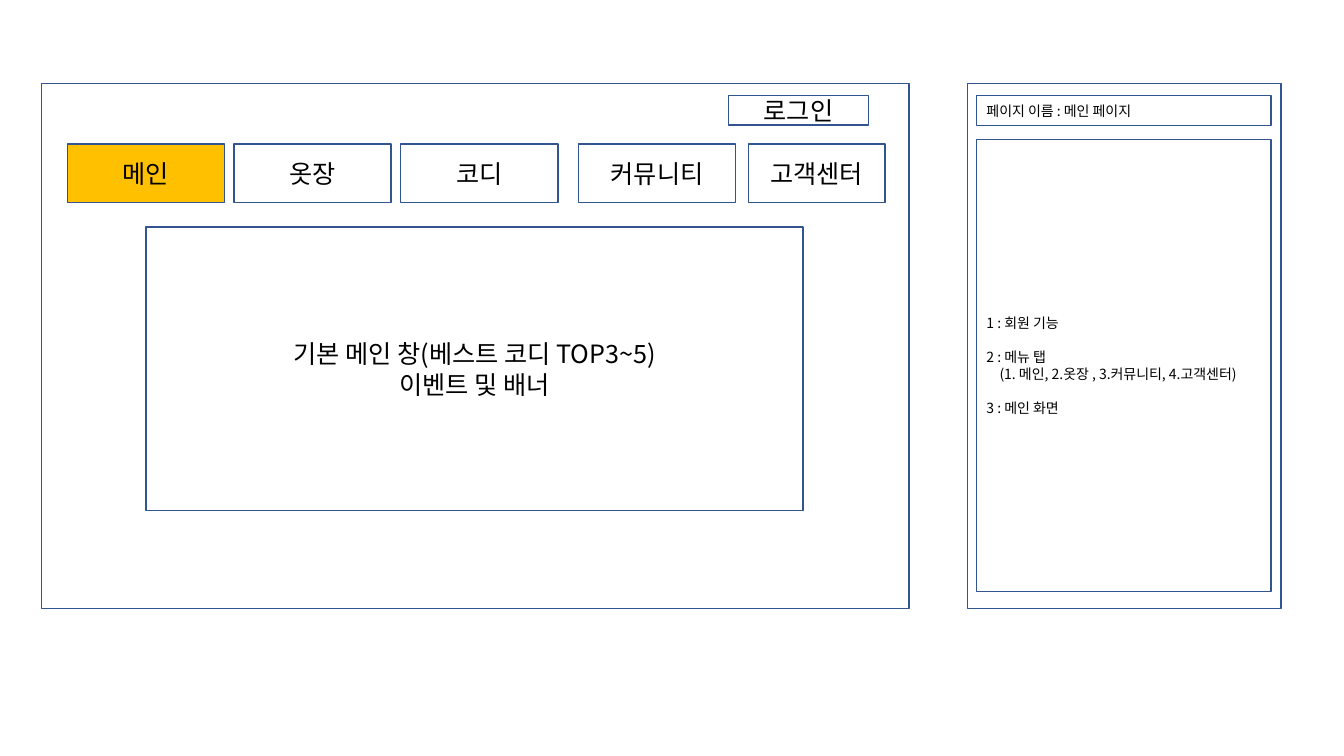
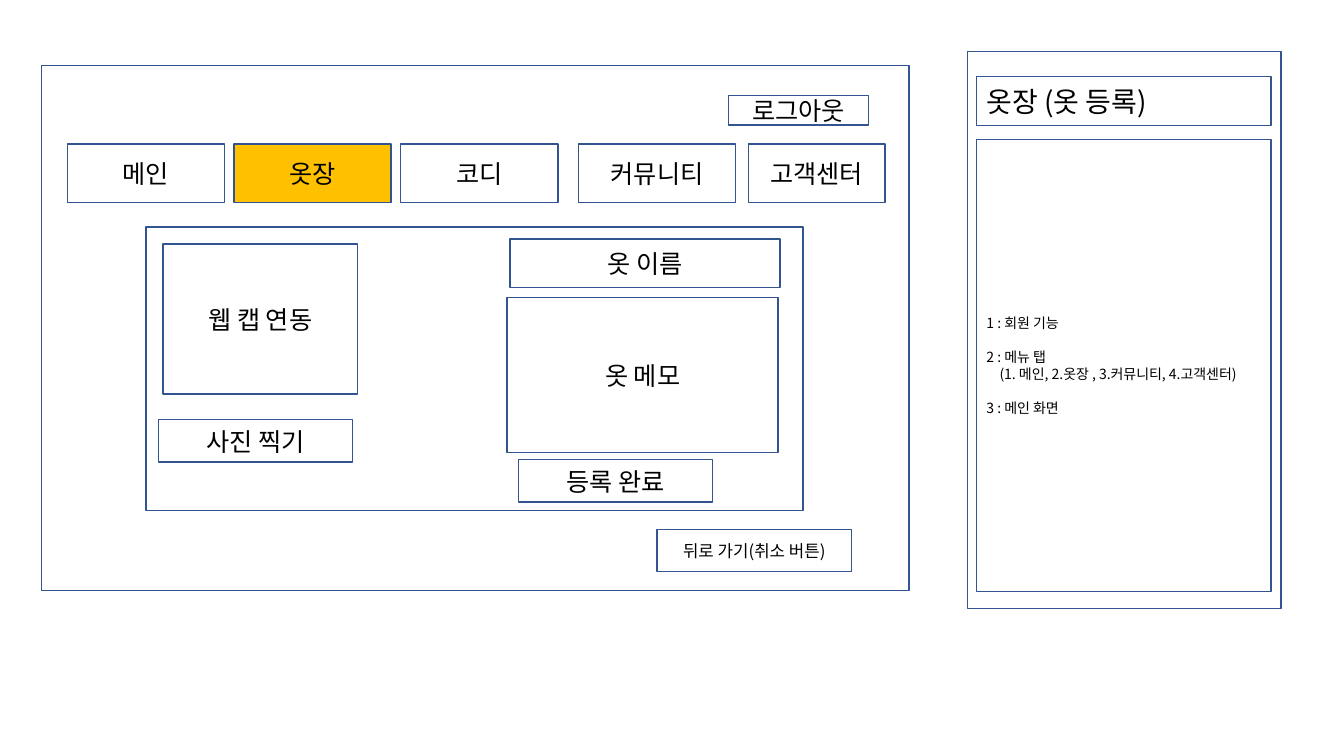
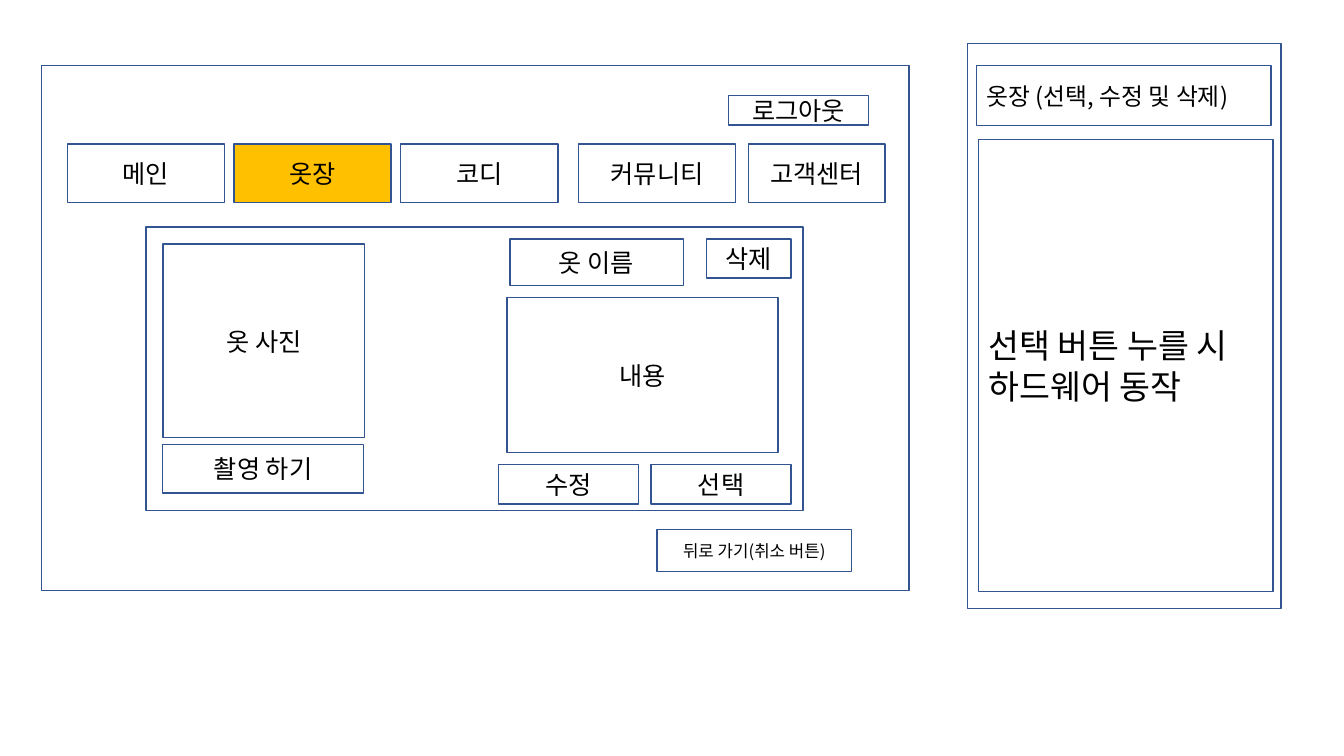
from pptx import Presentation
from pptx.dml.color import RGBColor
from pptx.enum.shapes import MSO_SHAPE
from pptx.enum.text import MSO_ANCHOR, PP_ALIGN
from pptx.oxml.ns import qn
from pptx.util import Cm, Pt
from lxml import etree

HUES = {"paper": "FFFFFF", "edge": "325491", "active": "FFC000", "ink": "000000"}
FONT = "Noto Sans CJK KR"
LEAD = 1.22

deck = Presentation()
deck.slide_width, deck.slide_height = Cm(33.87), Cm(19.05)


def box(text="", *, page, at, size=18, fill="paper", align=PP_ALIGN.CENTER, gaps=(), dents=()):
    shape = page.shapes.add_shape(MSO_SHAPE.RECTANGLE, *[Cm(n) for n in at])
    shape.shadow.inherit = False
    shape.fill.solid()
    shape.fill.fore_color.rgb = RGBColor.from_string(HUES[fill])
    shape.line.color.rgb = RGBColor.from_string(HUES["edge"])
    shape.line.width = Pt(1)
    if not text:
        return
    frame = shape.text_frame
    frame.word_wrap = True
    frame.vertical_anchor = MSO_ANCHOR.MIDDLE
    for i, line in enumerate(text.split("\n")):
        para = frame.paragraphs[0] if i == 0 else frame.add_paragraph()
        para.alignment = align
        para.line_spacing = Pt(size * LEAD)
        if i in gaps:
            para.space_before = Pt(size * LEAD)
        if i in dents:
            para._p.get_or_add_pPr().set("indent", str(Cm(0.33)))
        run = para.add_run()
        run.text = line
        run.font.size = Pt(size)
        run.font.name = FONT
        run.font.color.rgb = RGBColor.from_string(HUES["ink"])
        etree.SubElement(run.font._element, qn("a:ea")).set("typeface", FONT)


TABS = [
    ("메인", 1.7, 3.96),
    ("옷장", 5.9, 3.96),
    ("코디", 10.1, 3.96),
    ("커뮤니티", 14.58, 3.96),
    ("고객센터", 18.87, 3.43),
]
MENU = {
    "text": "1 : 회원 기능\n2 : 메뉴 탭 \n(1. 메인, 2.옷장 , 3.커뮤니티, 4.고객센터)\n3 : 메인 화면",
    "size": 10, "gaps": (1, 3), "dents": (2,),
}
BACK = ("뒤로 가기(취소 버튼)", (16.56, 13.34, 4.9, 1.07), 12)

PAGES = [
    {
        "top": 2.11, "side": 2.11, "head": 2.41, "left": 24.61,
        "title": "페이지 이름 : 메인 페이지", "size": 10, "note": MENU,
        "tab": "메인", "login": "로그인",
        "stage": "기본 메인 창(베스트 코디 TOP3~5)\n이벤트 및 배너",
        "parts": [],
    },
    {
        "top": 1.65, "side": 1.3, "head": 1.93, "left": 24.61,
        "title": "옷장 (옷 등록)", "size": 20, "note": MENU,
        "tab": "옷장", "login": "로그아웃", "stage": "",
        "parts": [
            ("웹 캡 연동", (4.11, 6.15, 4.9, 3.78), 18),
            ("사진 찍기", (3.99, 10.57, 4.9, 1.07), 18),
            ("등록 완료", (13.06, 11.58, 4.9, 1.07), 18),
            ("옷 이름", (12.85, 6.02, 6.81, 1.22), 18),
            ("옷 메모", (12.78, 7.49, 6.83, 3.91), 18),
            BACK,
        ],
    },
    {
        "top": 1.65, "side": 1.09, "head": 1.65, "left": 24.66,
        "title": "옷장 (선택, 수정 및 삭제)", "size": 17,
        "note": {"text": "선택 버튼 누를 시 하드웨어 동작", "size": 24},
        "tab": "옷장", "login": "로그아웃", "stage": "",
        "parts": [
            ("옷 사진", (4.11, 6.15, 5.08, 4.88), 18),
            ("수정", (12.57, 11.71, 3.53, 0.99), 18),
            ("옷 이름", (12.85, 6.02, 4.37, 1.17), 18),
            ("내용", (12.78, 7.49, 6.83, 3.91), 18),
            BACK,
            ("삭제", (17.81, 6.02, 2.13, 0.99), 18),
            ("촬영 하기", (4.09, 11.2, 5.08, 1.22), 18),
            ("선택", (16.41, 11.71, 3.53, 0.99), 18),
        ],
    },
]

for plan in PAGES:
    page = deck.slides.add_slide(deck.slide_layouts[6])
    box(page=page, at=(1.04, plan["top"], 21.87, 13.23))
    box(page=page, at=(24.38, plan["side"], 7.9, 15.34 - plan["side"]))
    box(plan["title"], page=page, at=(24.61, plan["head"], 7.42, 3.16 - plan["head"]),
        size=plan["size"], align=PP_ALIGN.LEFT)
    box(page=page, at=(plan["left"], 3.51, 7.42, 11.4), align=PP_ALIGN.LEFT, **plan["note"])
    box(plan["stage"], page=page, at=(3.68, 5.72, 16.56, 7.14))
    box(plan["login"], page=page, at=(18.36, 2.41, 3.53, 0.74))
    for name, left, width in TABS:
        fill = "active" if name == plan["tab"] else "paper"
        box(name, page=page, at=(left, 3.63, width, 1.47), fill=fill)
    for name, at, size in plan["parts"]:
        box(name, page=page, at=at, size=size)

deck.save("out.pptx")
